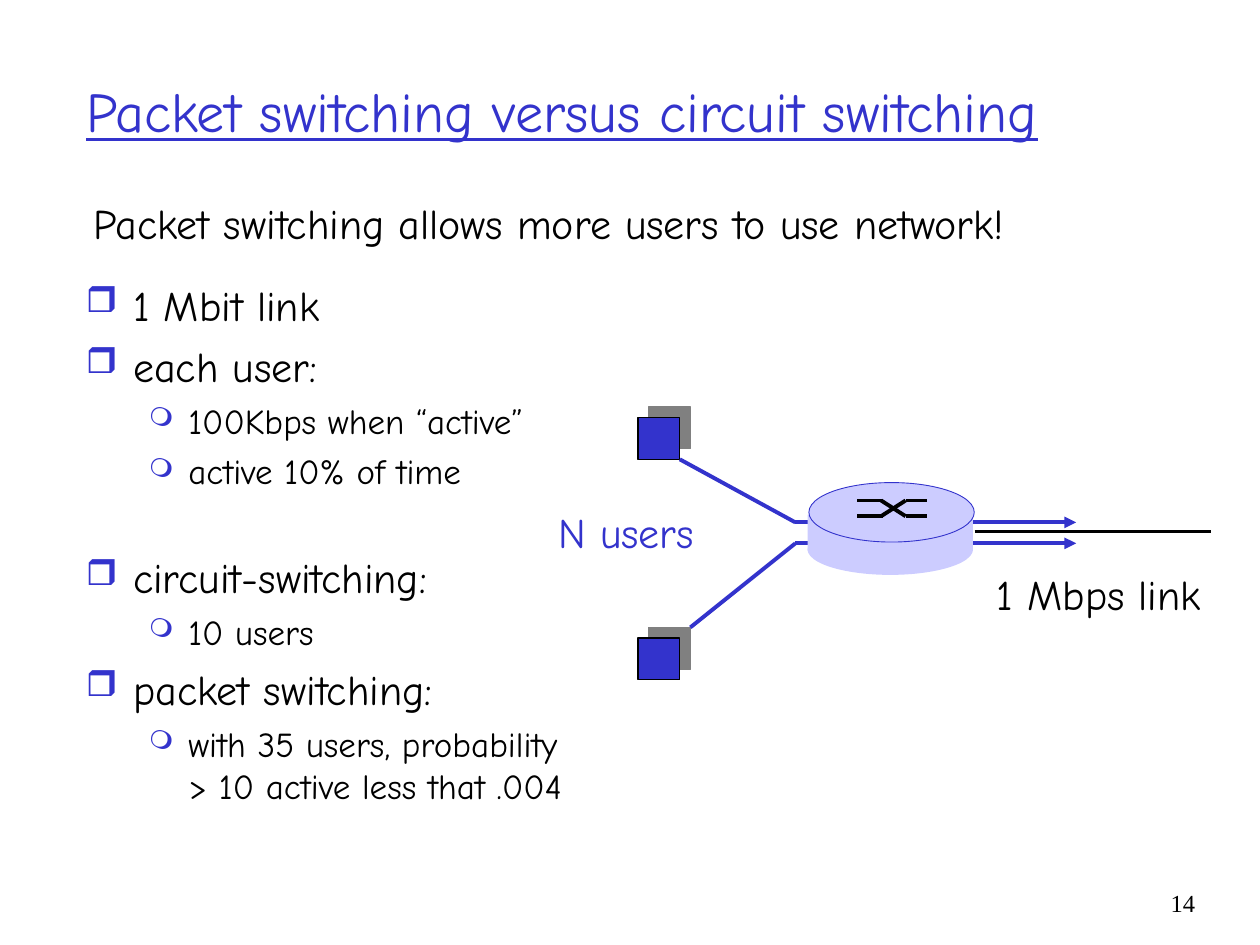
from lxml import etree
from pptx import Presentation
from pptx.dml.color import RGBColor
from pptx.enum.shapes import MSO_CONNECTOR, MSO_SHAPE
from pptx.enum.text import MSO_ANCHOR, MSO_AUTO_SIZE, PP_ALIGN
from pptx.oxml import parse_xml
from pptx.oxml.ns import nsdecls, qn
from pptx.util import Pt

RECT, OVAL = MSO_SHAPE.RECTANGLE, MSO_SHAPE.OVAL
STRAIGHT = MSO_CONNECTOR.STRAIGHT
MIDDLE = MSO_ANCHOR.MIDDLE
NO_FIT, GROW = MSO_AUTO_SIZE.NONE, MSO_AUTO_SIZE.SHAPE_TO_FIT_TEXT
LEFT, RIGHT = PP_ALIGN.LEFT, PP_ALIGN.RIGHT

BLUE = RGBColor(0x33, 0x33, 0xCC)
PALE = RGBColor(0xCC, 0xCC, 0xFF)
BLACK = RGBColor(0, 0, 0)
FONT = "Comic Neue"

# Per level: size, left margin, hanging indent, space before, bullet, bullet size %
LEVELS = [(24, 27, 27, 6, "❒", 85), (20, 58.5, 22.5, 5, "❍", 75)]
# Level, wording, extra space before
POINTS = [
    (0, "1 Mbit link", 0),
    (0, "each user:", 0),
    (1, "100Kbps when “active”", 0),
    (1, "active 10% of time", 0),
    (0, "circuit-switching:", 28),
    (1, "10 users", 0),
    (0, "packet switching:", 0),
    (1, "with 35 users, probability > 10 active less that .004", 0),
]


def add_run(para, text, size, color=BLACK, font=FONT):
    run = para.add_run()
    run.text = text
    run.font.size = Pt(size)
    run.font.name = font
    run.font.color.rgb = color
    return run


def add_box(slide, left, top, width, height, wrap=True):
    box = slide.shapes.add_textbox(Pt(left), Pt(top), Pt(width), Pt(height))
    frame = box.text_frame
    frame.word_wrap = wrap
    frame.auto_size = NO_FIT if wrap else GROW
    return frame


def add_title(slide, text):
    title = slide.shapes.title
    title.left, title.top = Pt(42), Pt(18)
    title.width, title.height = Pt(630), Pt(90)
    frame = title.text_frame
    frame.auto_size = NO_FIT
    frame.vertical_anchor = MIDDLE
    para = frame.paragraphs[0]
    para.alignment = LEFT
    add_run(para, text, 32, BLUE).font.underline = True


def add_bullet(para, level, text, extra):
    size, margin, hang, before, char, scale = LEVELS[level]
    para.level = level
    para.space_before = Pt(before + extra)
    props = para._p.get_or_add_pPr()
    props.set("marL", str(Pt(margin)))
    props.set("indent", str(-Pt(hang)))
    tint = etree.SubElement(props, qn("a:buClr"))
    etree.SubElement(tint, qn("a:srgbClr"), val=str(BLUE))
    etree.SubElement(props, qn("a:buSzPct"), val=str(scale * 1000))
    etree.SubElement(props, qn("a:buChar"), char=char)
    add_run(para, text, size)


def add_list(slide):
    frame = add_box(slide, 42, 156, 300, 366)
    for i, point in enumerate(POINTS):
        para = frame.add_paragraph() if i else frame.paragraphs[0]
        add_bullet(para, *point)


def add_solid(shapes, kind, left, top, width, height, fill, edge=None, weight=0.75):
    shape = shapes.add_shape(kind, Pt(left), Pt(top), Pt(width), Pt(height))
    shape.shadow.inherit = False
    shape.fill.solid()
    shape.fill.fore_color.rgb = fill
    if edge is None:
        shape.line.fill.background()
    else:
        shape.line.color.rgb = edge
        shape.line.width = Pt(weight)
    return shape


def add_user(slide, left, top):
    user = add_solid(slide.shapes, RECT, left, top, 24, 24, BLUE, BLACK)
    effects = user._element.spPr.find(qn("a:effectLst"))
    effects.append(parse_xml(
        f'<a:outerShdw {nsdecls("a")} dist="{Pt(8.5)}" dir="18900000" '
        'algn="ctr" rotWithShape="0"><a:srgbClr val="808080"/></a:outerShdw>'))


def add_line(shapes, x1, y1, x2, y2, color, arrow=False):
    line = shapes.add_connector(STRAIGHT, Pt(x1), Pt(y1), Pt(x2), Pt(y2))
    line.line.color.rgb = color
    line.line.width = Pt(2.25)
    props = line._element.spPr
    if arrow:
        etree.SubElement(props.get_or_add_ln(), qn("a:tailEnd"), type="triangle")
    etree.SubElement(props, qn("a:effectLst"))


def add_router(slide):
    parts = slide.shapes.add_group_shape().shapes
    # Drum
    add_solid(parts, OVAL, 461.5, 299.5, 94.5, 29, PALE)
    add_solid(parts, RECT, 461.5, 294, 94.5, 21, PALE)
    add_solid(parts, OVAL, 462.25, 275.75, 94.5, 34, PALE, BLUE, 0.5)
    # Crossed paths
    high, low = 286, 295
    for start, end in ((high, low), (low, high)):
        add_line(parts, 490, start, 504.5, start, BLACK)
        add_line(parts, 503.5, start, 517.5, end, BLACK)
        add_line(parts, 517.5, end, 530, end, BLACK)


def main():
    deck = Presentation()
    deck.slide_width, deck.slide_height = Pt(720), Pt(540)
    slide = deck.slides.add_slide(deck.slide_layouts[5])
    shapes = slide.shapes

    # Wording
    add_title(slide, "Packet switching versus circuit switching")
    add_list(slide)
    lead = add_box(slide, 46.5, 109.5, 600, 48).paragraphs[0]
    lead.space_before = Pt(6)
    add_run(lead, "Packet switching allows more users to use network!", 24)

    # Users and their paths through the router
    for top in (238.5, 364.5):
        add_user(slide, 364.5, top)
    for x, y, bend in ((388.5, 262.5, 298.5), (394.5, 358.5, 310.5)):
        add_line(shapes, x, y, 454.5, bend, BLUE)
        add_line(shapes, 454.5, bend, 615, bend, BLUE, arrow=True)

    # Labels
    users = add_box(slide, 312, 286, 92, 36, wrap=False).paragraphs[0]
    add_run(users, "N users", 24, BLUE)
    link = add_box(slide, 562.5, 321.5, 131, 36, wrap=False).paragraphs[0]
    add_run(link, "1 Mbps link", 24)

    # Router and shared link
    add_router(slide)
    add_line(shapes, 557, 303.75, 692, 303.75, BLACK)

    # Slide number
    number = add_box(slide, 654, 504, 36, 36).paragraphs[0]
    number.alignment = RIGHT
    add_run(number, "14", 14, font="Times New Roman")

    deck.save("out.pptx")


if __name__ == "__main__":
    main()
